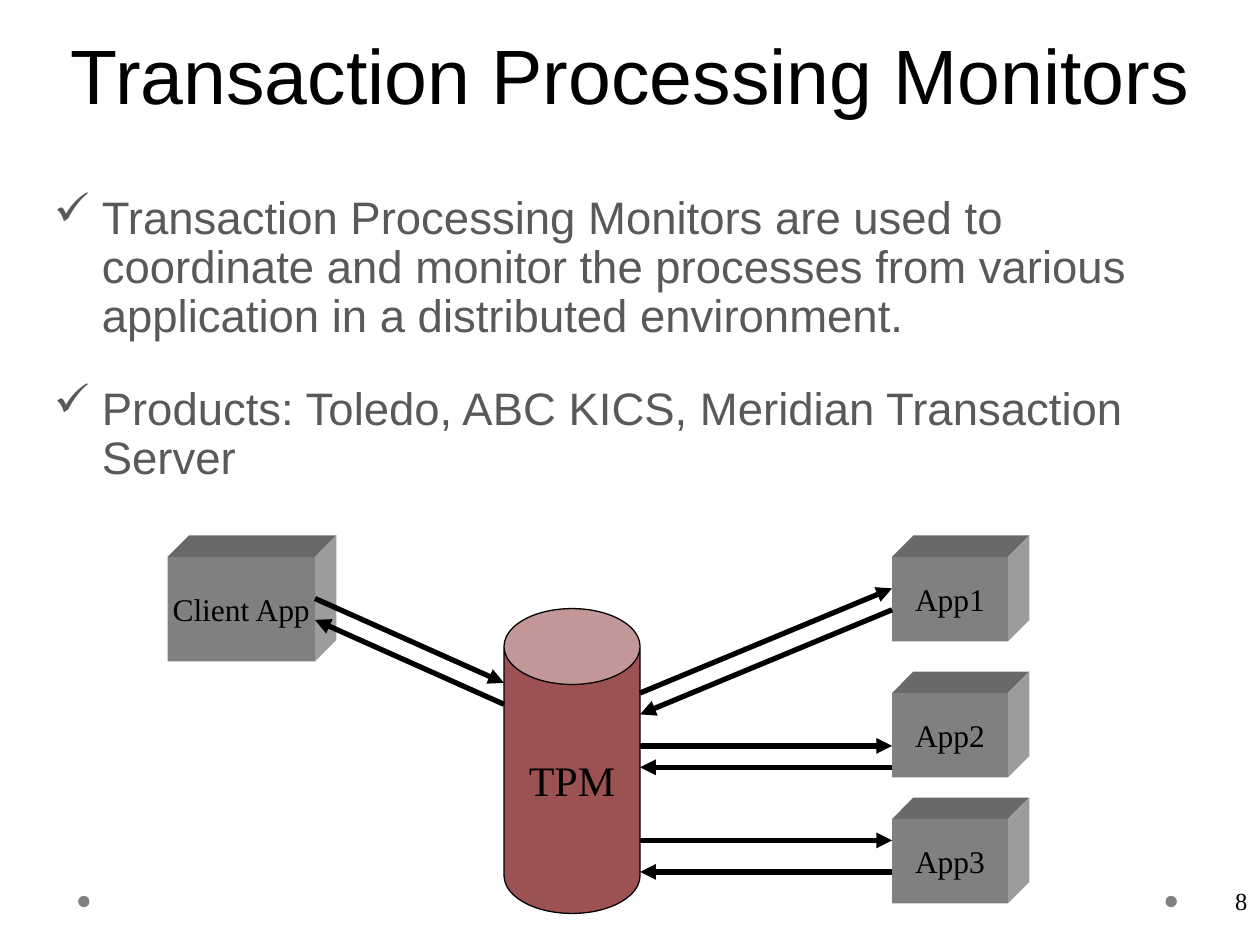
from lxml import etree
from pptx import Presentation
from pptx import util as u
from pptx.dml.color import RGBColor
from pptx.enum import shapes, text
from pptx.oxml.ns import qn

Inches, Pt = u.Inches, u.Pt
COLORS = {"black": "000000", "body": "595959", "dot": "808080", "front": "808080",
          "top": "696969", "side": "9C9C9C", "can": "9C5252"}
SANS, SERIF = "Arial", "Times New Roman"
DEPTH = 0.17
MIDDLE, BOTTOM = text.MSO_ANCHOR.MIDDLE, text.MSO_ANCHOR.BOTTOM
CENTER, RIGHT = text.PP_ALIGN.CENTER, text.PP_ALIGN.RIGHT


def rgb(name):
    return RGBColor.from_string(COLORS[name])


def set_attrs(obj, **values):
    for name, value in values.items():
        setattr(obj, name, value)


def place(sp, box):
    names = ("left", "top", "width", "height")
    set_attrs(sp, **dict(zip(names, map(Inches, box))))


def write(p, words, size, font, color="black", **layout):
    set_attrs(p, **layout)
    r = p.add_run()
    r.text = words
    set_attrs(r.font, size=Pt(size), name=font)
    r.font.color.rgb = rgb(color)


def paint(sp, fill, line=None):
    sp.shadow.inherit = False
    sp.fill.solid()
    sp.fill.fore_color.rgb = rgb(fill)
    if line:
        sp.line.color.rgb = rgb(line)
        sp.line.width = Pt(0.75)
    else:
        sp.line.fill.background()


def add_preset(s, kind, box, fill, line=None):
    sp = s.shapes.add_shape(kind, *map(Inches, box))
    paint(sp, fill, line)
    return sp


def add_label(sp, words, size):
    tf = sp.text_frame
    set_attrs(tf, word_wrap=False, vertical_anchor=MIDDLE)
    write(tf.paragraphs[0], words, size, SERIF, alignment=CENTER)


def add_face(s, points, fill):
    pts = [(Inches(x), Inches(y)) for x, y in points]
    builder = s.shapes.build_freeform(*pts[0])
    builder.add_line_segments(pts[1:], close=True)
    paint(builder.convert_to_shape(), fill)


def add_block(s, box, words):
    x, y, w, h = box
    right, bottom = x + w, y + h
    add_face(s, [(x, y), (x + DEPTH, y - DEPTH),
                 (right + DEPTH, y - DEPTH), (right, y)], "top")
    add_face(s, [(right, y), (right + DEPTH, y - DEPTH),
                 (right + DEPTH, bottom - DEPTH), (right, bottom)], "side")
    add_label(add_preset(s, shapes.MSO_SHAPE.RECTANGLE, box, "front"), words, 18)


def add_arrow(s, start, end):
    line = s.shapes.add_connector(shapes.MSO_CONNECTOR.STRAIGHT,
                                  *map(Inches, start + end))
    line.line.color.rgb = rgb("black")
    line.line.width = Pt(3)
    etree.SubElement(line.line._get_or_add_ln(), qn("a:tailEnd"), type="triangle")
    etree.SubElement(line._element.spPr, qn("a:effectLst"))


def add_title(s, box, words):
    sp = s.shapes.title
    place(sp, box)
    set_attrs(sp.text_frame, word_wrap=True, vertical_anchor=BOTTOM)
    write(sp.text_frame.paragraphs[0], words, 44, SANS,
          alignment=CENTER, line_spacing=Pt(58))


def add_bullets(s, box, items):
    tf = s.shapes.add_textbox(*map(Inches, box)).text_frame
    tf.word_wrap = True
    for i, words in enumerate(items):
        p = tf.add_paragraph() if i else tf.paragraphs[0]
        pPr = p._p.get_or_add_pPr()
        pPr.set("marL", str(Inches(0.38)))
        pPr.set("indent", str(-Inches(0.38)))
        etree.SubElement(pPr, qn("a:buChar"), char="✓")
        write(p, words, 26, SANS, "body", line_spacing=0.9,
              space_before=Pt(25 if i else 0))


def add_footer(s, box, number):
    x, y, w, h = box
    for left in (x, 9.25):
        add_preset(s, shapes.MSO_SHAPE.OVAL, (left, 7.11, 0.09, 0.09), "dot")
    tf = s.shapes.add_textbox(*map(Inches, (x + w - 0.61, y, 0.61, h))).text_frame
    set_attrs(tf, word_wrap=True, vertical_anchor=MIDDLE, margin_right=Inches(0.05))
    write(tf.paragraphs[0], number, 14, SERIF, alignment=RIGHT)


def add_diagram(s, box):
    x, y, w, h = box
    can_left, can_right, app_left = x + 2.67, x + 3.75, x + 5.75
    client_right = x + 1.17

    # Applications and the monitor between them
    add_block(s, (x, y, 1.17, 0.83), "Client App")
    can = add_preset(s, shapes.MSO_SHAPE.CAN,
                     (can_left, y + 0.41, 1.08, h - 0.41), "can", "black")
    can.adjustments[0] = 0.558
    add_label(can, "TPM", 24)
    for i, dy in enumerate((0, 1.08, 2.08), 1):
        add_block(s, (app_left, y + dy, 0.92, 0.67), f"App{i}")

    # Request and reply: left x, right x, heights at each end, gap
    links = [(client_right, can_left, 0.33, 1, 0.17),
             (can_right, app_left, 1.08, 0.25, 0.17),
             (can_right, app_left, 1.5, 1.5, 0.17),
             (can_right, app_left, 2.25, 2.25, 0.25)]
    for x1, x2, y1, y2, gap in links:
        add_arrow(s, (x1, y + y1), (x2, y + y2))
        add_arrow(s, (x2, y + y2 + gap), (x1, y + y1 + gap))


def main():
    prs = Presentation()
    set_attrs(prs, slide_width=Inches(10), slide_height=Inches(7.5))
    s = prs.slides.add_slide(prs.slide_layouts[5])
    add_footer(s, (0.62, 6.95, 9.33, 0.4), "8")
    add_title(s, (0.17, 0.17, 9.67, 0.83), "Transaction Processing Monitors")
    add_bullets(s, (0.33, 1.5, 9.5, 2.58), [
        "Transaction Processing Monitors are used to coordinate and monitor the "
        "processes from various application in a distributed environment.",
        "Products: Toledo, ABC KICS, Meridian Transaction Server"])
    add_diagram(s, (1.33, 4.42, 6.67, 2.83))
    prs.save("out.pptx")


if __name__ == "__main__":
    main()
